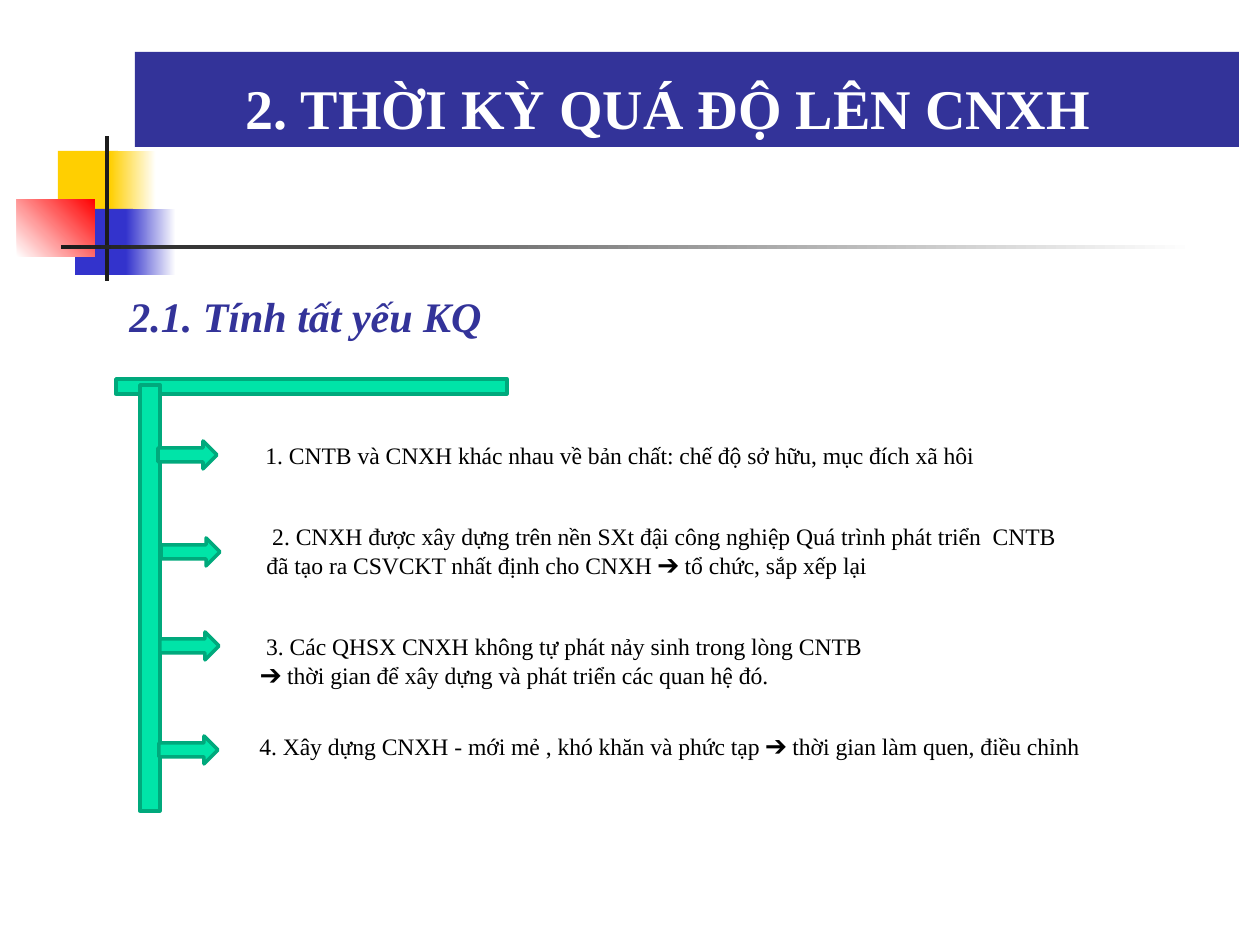
"""Build the slide on the transition period, with four arrowed reasons."""
from pptx import Presentation
from pptx import util as u
from pptx.dml.color import RGBColor
from pptx.enum import shapes, text

EMU_PER_PX = 914400 / 126
FONT = "Times New Roman"
WHITE, BLACK, NAVY = "FFFFFF", "000000", "333399"
YELLOW, BLUE, RED, DARK = "FFCF01", "3333CC", "FF0000", "1C1C1C"
GREEN, GREEN_EDGE = "00E4A8", "00A97C"
RECT = shapes.MSO_SHAPE.RECTANGLE
ARROW = shapes.MSO_SHAPE.RIGHT_ARROW

ORNAMENTS = [
    ((58, 151, 60, 66), [YELLOW], 0),
    ((110, 151, 46, 66), [YELLOW, WHITE], 0),
    ((75, 209, 58, 66), [BLUE], 0),
    ((126, 209, 50, 66), [BLUE, WHITE], 0),
    ((17, 199, 78, 58), [WHITE, RED], 45),
    ((105, 136, 4, 145), [DARK], 0),
    ((61, 245, 1134, 4), [DARK, WHITE], 0),
]
BARS = [(116, 379, 391, 15), (140, 385, 20, 426)]
REASONS = [
    ((158, 441), (253, 435, 777, 42),
     "1. CNTB và CNXH khác nhau về bản chất: chế độ sở hữu, mục đích xã hôi"),
    ((161, 538), (254, 516, 823, 71),
     " 2. CNXH được xây dựng trên nền SXt đậi công nghiệp Quá trình phát triển  CNTB "
     "đã tạo ra CSVCKT nhất định cho CNXH ➔ tổ chức, sắp xếp lại"),
    ((160, 632), (248, 626, 630, 71),
     " 3. Các QHSX CNXH không tự phát nảy sinh trong lòng CNTB "
     "➔ thời gian để xây dựng và phát triển các quan hệ đó."),
    ((159, 736), (247, 726, 882, 42),
     "4. Xây dựng CNXH - mới mẻ , khó khăn và phức tạp "
     "➔ thời gian làm quen, điều chỉnh"),
]


def px(n):
    """Turn pixels into EMU."""
    return u.Emu(round(n * EMU_PER_PX))


def rgb(code):
    """Turn a hex string into a colour."""
    return RGBColor.from_string(code)


def assign(obj, **values):
    """Set several attributes on an object."""
    for name, value in values.items():
        setattr(obj, name, value)


def paint(sp, colours, angle=0):
    """Fill a shape with one colour or a two-colour gradient."""
    if len(colours) == 1:
        sp.fill.solid()
        sp.fill.fore_color.rgb = rgb(colours[0])
        return
    sp.fill.gradient()
    sp.fill.gradient_angle = angle
    for stop, colour in zip(sp.fill.gradient_stops, colours):
        stop.color.rgb = rgb(colour)


def add_block(s, kind, box, colours, angle=0, edge=None):
    """Add a filled preset shape with an optional outline."""
    sp = s.shapes.add_shape(kind, *map(px, box))
    sp.shadow.inherit = False
    paint(sp, colours, angle)
    if edge:
        sp.line.color.rgb = rgb(edge)
        sp.line.width = u.Pt(2)
    else:
        sp.line.fill.background()


def write(tf, words, size, colour, **style):
    """Write one formatted paragraph into a text frame."""
    p = tf.paragraphs[0]
    r = p.add_run()
    r.text = words
    assign(r.font, name=FONT, size=u.Pt(size), **style)
    r.font.color.rgb = rgb(colour)
    return p


def add_label(s, box, words, size, colour, wrap=True, **style):
    """Add a text box with one paragraph."""
    tf = s.shapes.add_textbox(*map(px, box)).text_frame
    assign(tf, word_wrap=wrap, auto_size=text.MSO_AUTO_SIZE.SHAPE_TO_FIT_TEXT)
    write(tf, words, size, colour, **style)


def set_title(s, box, words):
    """Place and format the title banner."""
    sp = s.shapes.title
    assign(sp, **dict(zip(("left", "top", "width", "height"), map(px, box))))
    paint(sp, [NAVY])
    tf = sp.text_frame
    assign(tf, word_wrap=True, auto_size=text.MSO_AUTO_SIZE.NONE,
           vertical_anchor=text.MSO_ANCHOR.BOTTOM, margin_right=px(50))
    p = write(tf, words, 32, WHITE, bold=True)
    p.alignment = text.PP_ALIGN.CENTER


def main():
    """Build and save the slide."""
    prs = Presentation()
    assign(prs, slide_width=px(1260), slide_height=px(945))
    s = prs.slides.add_slide(prs.slide_layouts[5])
    for box, colours, angle in ORNAMENTS:
        add_block(s, RECT, box, colours, angle)
    set_title(s, (135, 52, 1104, 95), "2. THỜI KỲ QUÁ ĐỘ LÊN CNXH")
    add_label(s, (117, 284, 381, 63), "2.1. Tính tất yếu KQ", 24, NAVY,
              wrap=False, bold=True, italic=True)
    for box in BARS:
        add_block(s, RECT, box, [GREEN], edge=GREEN_EDGE)
    for corner, box, words in REASONS:
        add_block(s, ARROW, (*corner, 59, 28), [GREEN], edge=GREEN_EDGE)
        add_label(s, box, words, 13.5, BLACK)
    prs.save("out.pptx")


if __name__ == "__main__":
    main()
